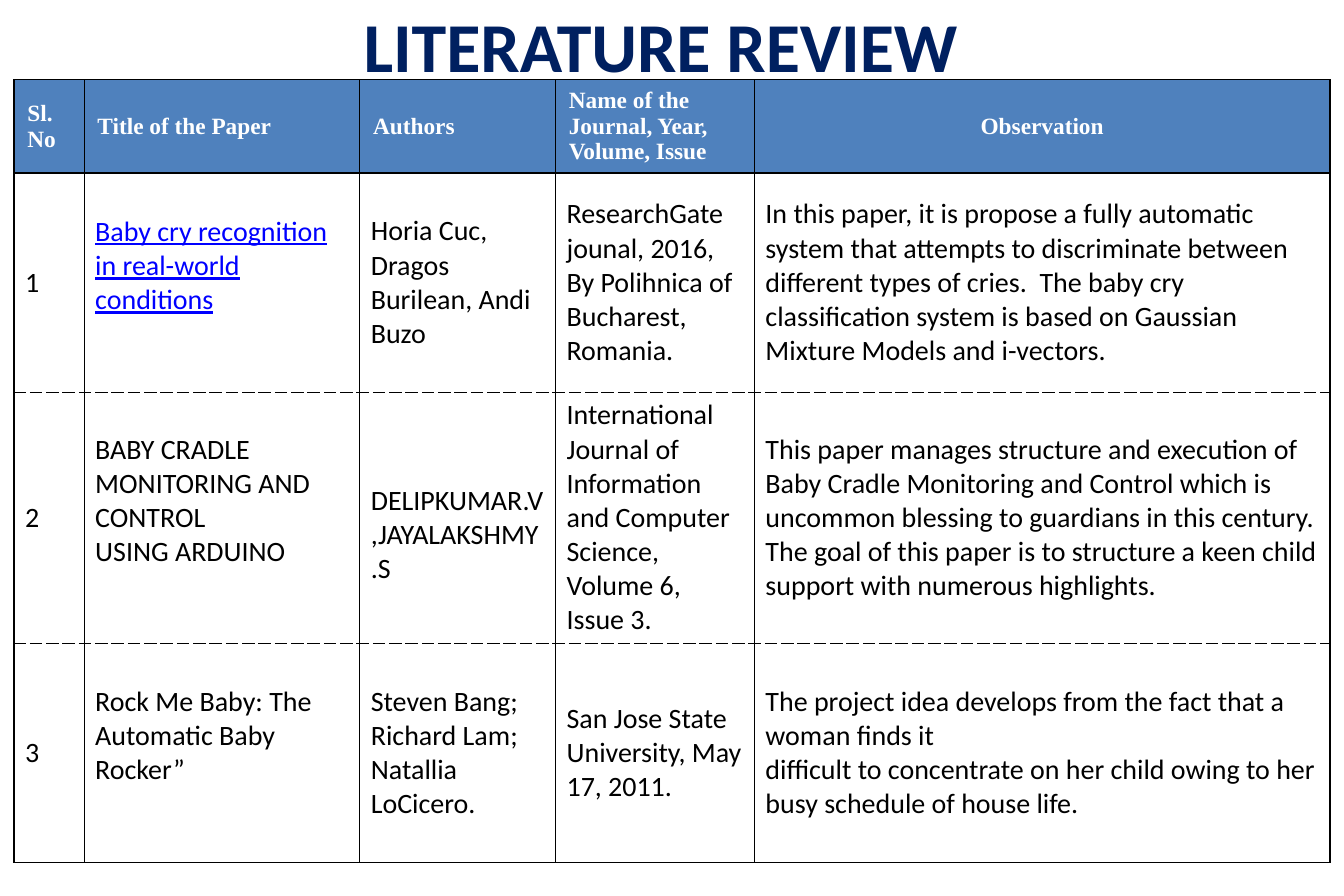
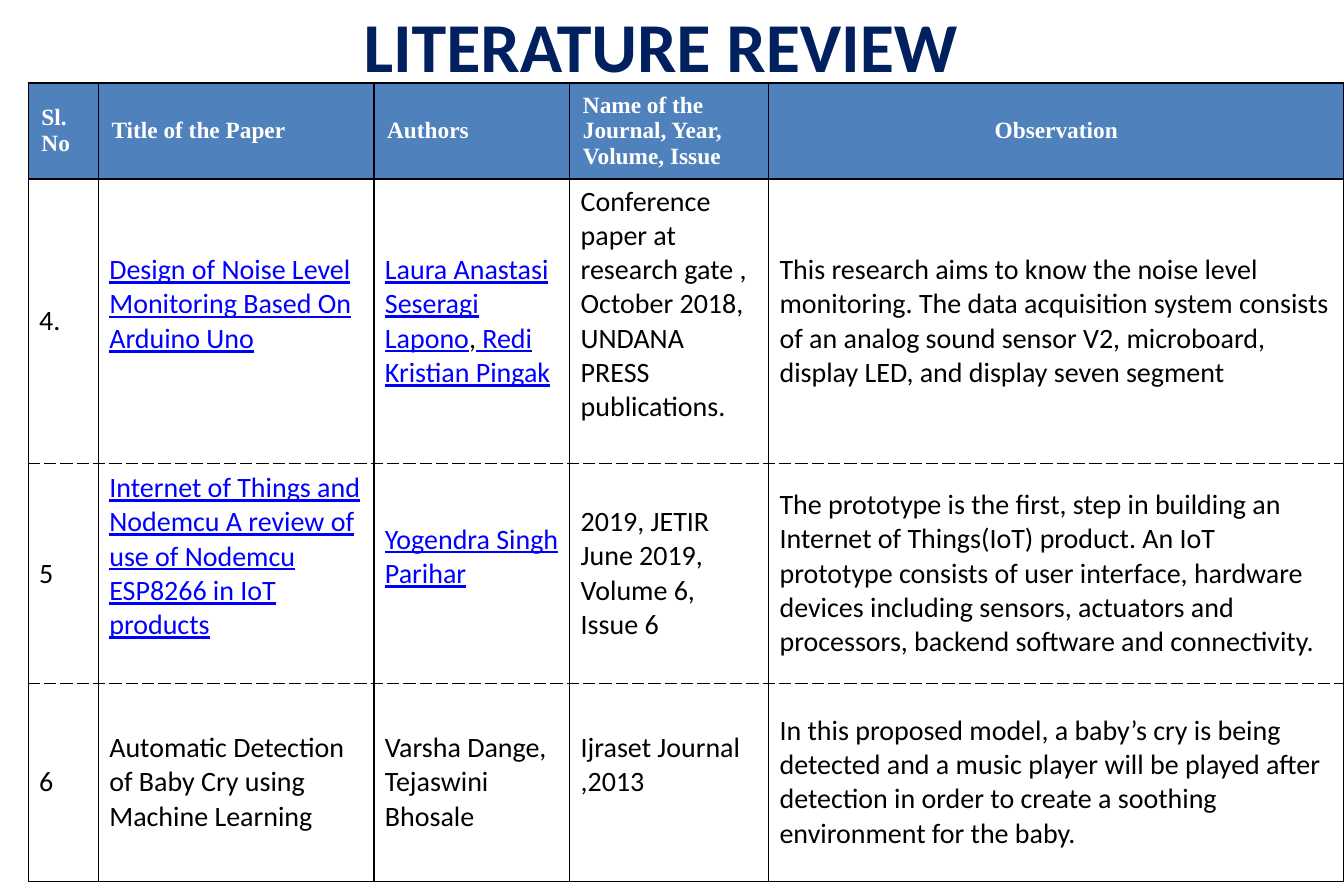
from pptx import Presentation
from pptx.dml.color import RGBColor
from pptx.enum.text import MSO_ANCHOR as Anchor, MSO_AUTO_SIZE as AutoSize, PP_ALIGN as Align
from pptx.oxml import parse_xml
from pptx.oxml.ns import nsdecls
from pptx.util import Cm, Pt

NAVY, BLUE, WHITE, BLACK, LINK = "002060", "4F81BD", "FFFFFF", "000000", "0000FF"
BODY_FONT, HEADER_FONT = "Calibri", "Times New Roman"
TITLE = "LITERATURE REVIEW"
HEADERS = ["Sl. No", "Title of the Paper", "Authors",
           "Name of the Journal, Year, Volume, Issue", "Observation"]
COLUMN_WIDTHS = [1.59, 6.25, 4.44, 4.51, 13.05]
SIDE_MARGIN, EDGE_MARGIN, LINE_HEIGHT = 0.25, 0.13, 0.77

FIRST_PAPERS = [
    ["1", "|Baby cry recognition in real-world conditions|",
     "Horia Cuc, Dragos Burilean, Andi Buzo",
     "ResearchGate jounal, 2016, By Polihnica of Bucharest, Romania.",
     "In this paper, it is propose a fully automatic system that attempts to discriminate "
     "between different types of cries.  The baby cry classification system is based on "
     "Gaussian Mixture Models and i-vectors."],
    ["2", "BABY CRADLE MONITORING AND CONTROL\nUSING ARDUINO",
     "DELIPKUMAR.V,JAYALAKSHMY .S",
     "International Journal of Information and Computer Science, Volume 6, Issue 3.",
     "This paper manages structure and execution of Baby Cradle Monitoring and Control which "
     "is uncommon blessing to guardians in this century. The goal of this paper is to "
     "structure a keen child support with numerous highlights."],
    ["3", "Rock Me Baby: The\nAutomatic Baby Rocker”",
     "Steven Bang; Richard Lam; Natallia LoCicero.",
     "San Jose State University, May 17, 2011.",
     "The project idea develops from the fact that a woman finds it\n"
     "difficult to concentrate on her child owing to her busy schedule of house life."],
]
SECOND_PAPERS = [
    ["4.", "|Design of Noise Level Monitoring Based On Arduino Uno|",
     "|Laura Anastasi Seseragi Lapono|,| Redi Kristian Pingak|",
     "Conference paper at research gate , October 2018, UNDANA PRESS publications.",
     "This research aims to know the noise level monitoring. The data acquisition system "
     "consists of an analog sound sensor V2, microboard, display LED, and display seven segment"],
    ["5", "|Internet of Things and Nodemcu A review of use of Nodemcu ESP8266 in IoT products|",
     "|Yogendra Singh Parihar|",
     "2019, JETIR June 2019, Volume 6, Issue 6",
     "The prototype is the first, step in building an Internet of Things(IoT) product. An IoT "
     "prototype consists of user interface, hardware devices including sensors, actuators and "
     "processors, backend software and connectivity."],
    ["6", "Automatic Detection of Baby Cry using Machine Learning",
     "Varsha Dange, Tejaswini Bhosale",
     "Ijraset Journal ,2013",
     "In this proposed model, a baby’s cry is being detected and a music player will be played "
     "after detection in order to create a soothing environment for the baby."],
]


def color(value):
    return RGBColor.from_string(value)


def style(font, name, size, value, bold=False):
    font.name, font.size, font.bold = name, Pt(size), bold
    font.color.rgb = color(value)


def set_margins(target, side, top, bottom):
    target.margin_left = target.margin_right = Cm(side)
    target.margin_top, target.margin_bottom = Cm(top), Cm(bottom)


def set_borders(cell, top_dash, bottom_dash):
    properties = cell._tc.get_or_add_tcPr()
    dashes = {"L": "solid", "R": "solid", "T": top_dash, "B": bottom_dash}
    for position, (side, dash) in enumerate(dashes.items()):
        properties.insert(position, parse_xml(
            f'<a:ln{side} {nsdecls("a")} w="{Pt(1)}"><a:solidFill><a:srgbClr val="{BLACK}"/>'
            f'</a:solidFill><a:prstDash val="{dash}"/></a:ln{side}>'))


def add_title(slide):
    title = slide.shapes.title
    title.left, title.top, title.width, title.height = Cm(1.27), Cm(-0.84), Cm(27.43), Cm(3.71)
    frame = title.text_frame
    frame.text = TITLE
    frame.word_wrap, frame.auto_size = True, AutoSize.NONE
    frame.vertical_anchor = Anchor.MIDDLE
    set_margins(frame, 0.28, 0.15, 0.15)
    heading = frame.paragraphs[0]
    heading.alignment = Align.CENTER
    style(heading.runs[0].font, BODY_FONT, 45, NAVY, True)


def fill_header(cell, label):
    cell.text = label
    cell.vertical_anchor = Anchor.MIDDLE
    set_margins(cell, 0.3, 0.17, 0.17)
    heading = cell.text_frame.paragraphs[0]
    heading.alignment = Align.CENTER if label == "Observation" else Align.LEFT
    style(heading.runs[0].font, HEADER_FONT, 15, WHITE, True)
    set_borders(cell, "solid", "solid")
    cell.fill.solid()
    cell.fill.fore_color.rgb = color(BLUE)


def fill_entry(cell, text, shift, top_dash, bottom_dash):
    cell.vertical_anchor = Anchor.MIDDLE
    set_margins(cell, SIDE_MARGIN, EDGE_MARGIN + LINE_HEIGHT * (shift > 0),
                EDGE_MARGIN + LINE_HEIGHT * (shift < 0))
    frame = cell.text_frame
    for number, line in enumerate(text.split("\n")):
        paragraph = frame.add_paragraph() if number else frame.paragraphs[0]
        for index, part in enumerate(line.split("|")):
            if part:
                run = paragraph.add_run()
                run.text = part
                linked = index % 2 == 1
                style(run.font, BODY_FONT, 18, LINK if linked else BLACK)
                run.font.underline = linked
    set_borders(cell, top_dash, bottom_dash)
    cell.fill.background()


def add_review(deck, left, top, row_heights, papers, shifts):
    slide = deck.slides.add_slide(deck.slide_layouts[5])
    add_title(slide)
    review = slide.shapes.add_table(len(papers) + 1, len(HEADERS), Cm(left), Cm(top),
                                    Cm(sum(COLUMN_WIDTHS)), Cm(sum(row_heights))).table
    review.first_row = review.horz_banding = False
    for column, width in zip(review.columns, COLUMN_WIDTHS):
        column.width = Cm(width)
    for row, height in zip(review.rows, row_heights):
        row.height = Cm(height)
    for column, label in enumerate(HEADERS):
        fill_header(review.cell(0, column), label)
    for row, paper in enumerate(papers, 1):
        top_dash = "solid" if row == 1 else "sysDash"
        bottom_dash = "solid" if row == len(papers) else "sysDash"
        for column, text in enumerate(paper):
            fill_entry(review.cell(row, column), text, shifts.get((row, column), 0),
                       top_dash, bottom_dash)


def main():
    deck = Presentation()
    deck.slide_width, deck.slide_height = Cm(30.48), Cm(20.32)
    add_review(deck, 0.32, 1.81, [2.11, 4.98, 5.67, 4.98], FIRST_PAPERS,
               {(1, 1): -1, (2, 1): -1, (2, 2): 1, (3, 1): -1})
    add_review(deck, 0.64, 1.88, [2.18, 6.45, 4.98, 4.49], SECOND_PAPERS,
               {(1, 1): -1, (1, 3): -1, (2, 1): -1, (2, 2): -1, (3, 3): -1})
    deck.save("out.pptx")


if __name__ == "__main__":
    main()
